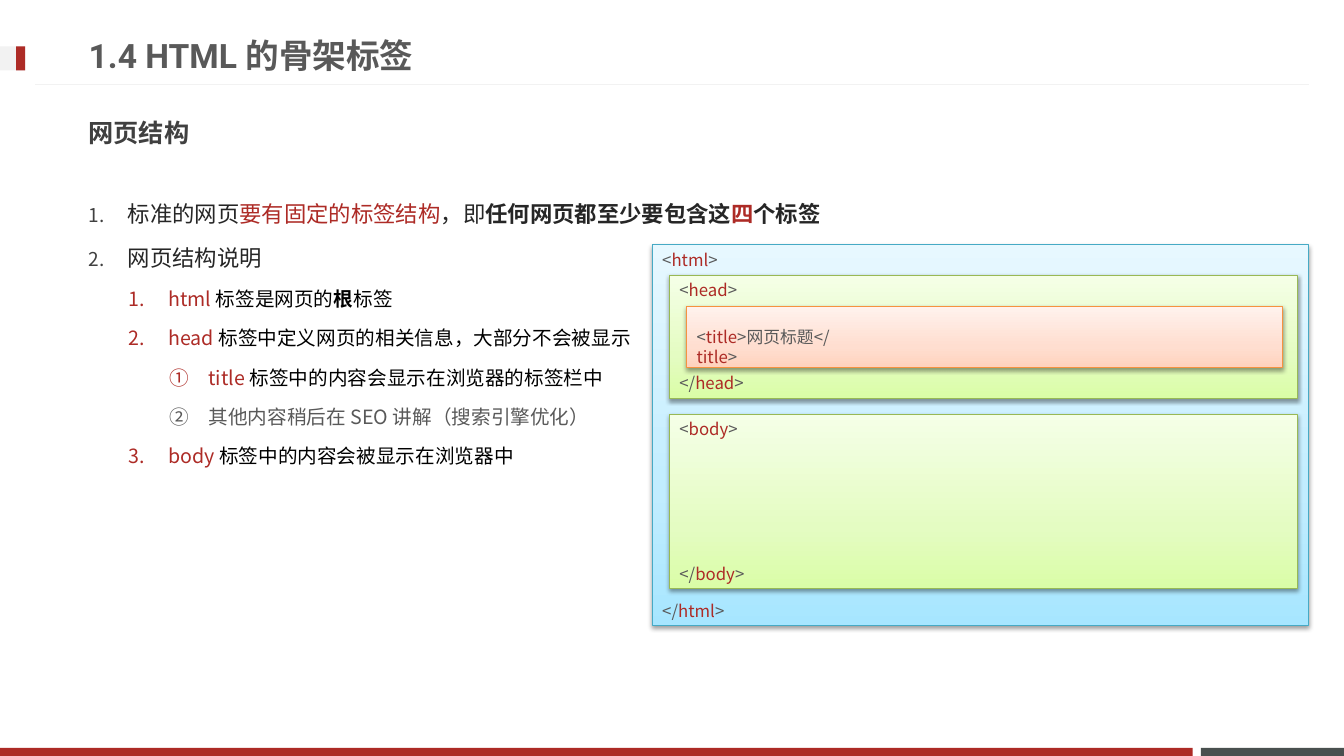
from lxml import etree
from pptx import Presentation
from pptx.dml.color import RGBColor
from pptx.enum.shapes import MSO_CONNECTOR as Link, MSO_SHAPE as Kind
from pptx.enum.text import MSO_ANCHOR as Anchor, PP_ALIGN as Align
from pptx.oxml import parse_xml
from pptx.oxml.ns import nsdecls, qn
from pptx.util import Inches, Pt

RED = RGBColor(0xAD, 0x2B, 0x26)
SLATE = RGBColor(0x49, 0x50, 0x4F)
PALE = RGBColor(0xF2, 0xF2, 0xF2)
GREY = RGBColor(0x59, 0x59, 0x59)
DARK = RGBColor(0x40, 0x40, 0x40)
INK = RGBColor(0x26, 0x26, 0x26)
BLACK = RGBColor(0, 0, 0)
BLUE = RGBColor(0x46, 0xAA, 0xC5)
GREEN = RGBColor(0x98, 0xB9, 0x55)
ORANGE = RGBColor(0xF6, 0x92, 0x40)
SANS = "Noto Sans CJK JP"

TITLE = "1.4 HTML 的骨架标签"
HEAD = "网页结构"
POINTS = [
    (0, [("标准的网页", INK), ("要有固定的标签结构", RED), ("，即", INK),
         ("任何网页都至少要包含这", INK, True), ("四", RED, True),
         ("个标签", INK, True)]),
    (0, [("网页结构说明", INK)]),
    (1, [("html ", RED), ("标签是网页的", BLACK), ("根", BLACK, True),
         ("标签", BLACK)]),
    (1, [("head ", RED), ("标签中定义网页的相关信息，大部分不会被显示", BLACK)]),
    (2, [("title ", RED), ("标签中的内容会显示在浏览器的标签栏中", BLACK)]),
    (2, [("其他内容稍后在 SEO 讲解（搜索引擎优化）", GREY)]),
    (1, [("body ", RED), ("标签中的内容会被显示在浏览器中", BLACK)]),
]
BARS = [
    (11.91, 7.42, 1.42, 0.08, SLATE),
    (0, 7.42, 11.83, 0.08, RED),
    (0, 0.46, 0.25, 0.24, PALE),
    (0.16, 0.46, 0.09, 0.24, RED),
]
SKY = ("A7E6FF", "C1EDFF", "E7F8FF")
LIME = ("DAFDA7", "E4FCC2", "F5FFE7")
PEACH = ("FFD2BD", "FFDED0", "FFF2ED")
PANELS = [
    ("html", 6.47, 2.43, 6.51, 3.78, SKY, BLUE),
    ("head", 6.64, 2.73, 6.23, 1.22, LIME, GREEN),
    ("title", 6.81, 3.04, 5.91, 0.61, PEACH, ORANGE),
    ("body", 6.64, 4.11, 6.23, 1.73, LIME, GREEN),
]
LABEL = 0.3


def write(para, parts, size, face=SANS):
    """Add coloured runs to a paragraph."""
    for text, color, *bold in parts:
        run = para.add_run()
        run.text = text
        font = run.font
        font.size, font.name, font.bold = Pt(size), face, bool(bold)
        font.color.rgb = color
        east = etree.SubElement(run._r.get_or_add_rPr(), qn("a:ea"))
        east.set("typeface", SANS)


def number(para, level):
    """Give a paragraph its indent and automatic number."""
    para.level = level
    props = para._p.get_or_add_pPr()
    props.set("marL", str(Inches(0.39 * (level + 1) + 0.01 * level)))
    props.set("indent", str(-Inches(0.39)))
    if level == 0:
        tint = etree.SubElement(props, qn("a:buClr"))
        etree.SubElement(tint, qn("a:srgbClr")).set("val", str(DARK))
        etree.SubElement(props, qn("a:buSzPct")).set("val", "85000")
    auto = etree.SubElement(props, qn("a:buAutoNum"))
    auto.set("type", "circleNumDbPlain" if level == 2 else "arabicPeriod")


def add_text(slide, left, top, width, height, wrap=True):
    """Add a text box and return its frame."""
    box = slide.shapes.add_textbox(*map(Inches, (left, top, width, height)))
    box.text_frame.word_wrap = wrap
    return box.text_frame


def add_rect(slide, left, top, width, height):
    """Add a rectangle without a shadow."""
    rect = slide.shapes.add_shape(
        Kind.RECTANGLE, *map(Inches, (left, top, width, height)))
    rect.shadow.inherit = False
    return rect


def add_panel(slide, left, top, width, height, tones, edge):
    """Add a shaded rectangle with a soft shadow."""
    rect = add_rect(slide, left, top, width, height)
    rect.line.color.rgb, rect.line.width = edge, Pt(0.75)
    stops = "".join(
        f'<a:gs pos="{pos}"><a:srgbClr val="{tone}"/></a:gs>'
        for pos, tone in zip((0, 35000, 100000), tones))
    props = rect._element.spPr
    props.find(qn("a:prstGeom")).addnext(parse_xml(
        f'<a:gradFill {nsdecls("a")} rotWithShape="1"><a:gsLst>{stops}</a:gsLst>'
        '<a:lin ang="16200000" scaled="0"/></a:gradFill>'))
    props.find(qn("a:effectLst")).append(parse_xml(
        f'<a:outerShdw {nsdecls("a")} blurRad="{Pt(3.1)}" dist="{Pt(1.6)}" '
        'dir="5400000" rotWithShape="0"><a:srgbClr val="000000">'
        '<a:alpha val="38000"/></a:srgbClr></a:outerShdw>'))


def add_tag(slide, left, top, parts, width=0.9, wrap=False):
    """Add a label with red tag names."""
    frame = add_text(slide, left, top, width, LABEL, wrap)
    write(frame.paragraphs[0], parts, 12)


def main():
    """Build the slide."""
    deck = Presentation()
    deck.slide_width, deck.slide_height = Inches(13.33), Inches(7.5)
    slide = deck.slides.add_slide(deck.slide_layouts[5])

    for *place, color in BARS:
        bar = add_rect(slide, *place)
        bar.fill.solid()
        bar.fill.fore_color.rgb = color
        bar.line.fill.background()
    rule = slide.shapes.add_connector(
        Link.STRAIGHT, *map(Inches, (12.98, 0.84, 0.35, 0.84)))
    rule.line.color.rgb, rule.line.width = PALE, Pt(0.75)
    etree.SubElement(rule._element.spPr, qn("a:effectLst"))

    title = slide.shapes.title
    title.left, title.top = Inches(0.78), Inches(0.26)
    title.width, title.height = Inches(9.59), Inches(0.57)
    title.text_frame.vertical_anchor = Anchor.MIDDLE
    para = title.text_frame.paragraphs[0]
    para.alignment = Align.LEFT
    write(para, [(TITLE, GREY, True)], 24, "Roboto")

    frame = add_text(slide, 0.78, 1.03, 11.72, 0.57)
    frame.vertical_anchor = Anchor.MIDDLE
    write(frame.paragraphs[0], [(HEAD, DARK, True)], 18)

    frame = add_text(slide, 0.78, 1.8, 11.72, 4.61)
    for i, (level, parts) in enumerate(POINTS):
        para = frame.add_paragraph() if i else frame.paragraphs[0]
        size = 14 if level else 16
        para.line_spacing = 1.5
        if i:
            para.space_before = Pt(size * 0.2)
        number(para, level)
        write(para, parts, size)

    for name, left, top, width, height, tones, edge in PANELS:
        add_panel(slide, left, top, width, height, tones, edge)
        start = [("<", GREY), (name, RED), (">", GREY)]
        end = [("</", GREY), (name, RED), (">", GREY)]
        if name == "title":
            whole = start[:2] + [(">网页标题</", GREY)] + end[1:]
            add_tag(slide, left, top + 0.15, whole, 1.92, True)
        else:
            add_tag(slide, left, top, start)
            add_tag(slide, left, top + height - LABEL, end)

    deck.save("out.pptx")


if __name__ == "__main__":
    main()
